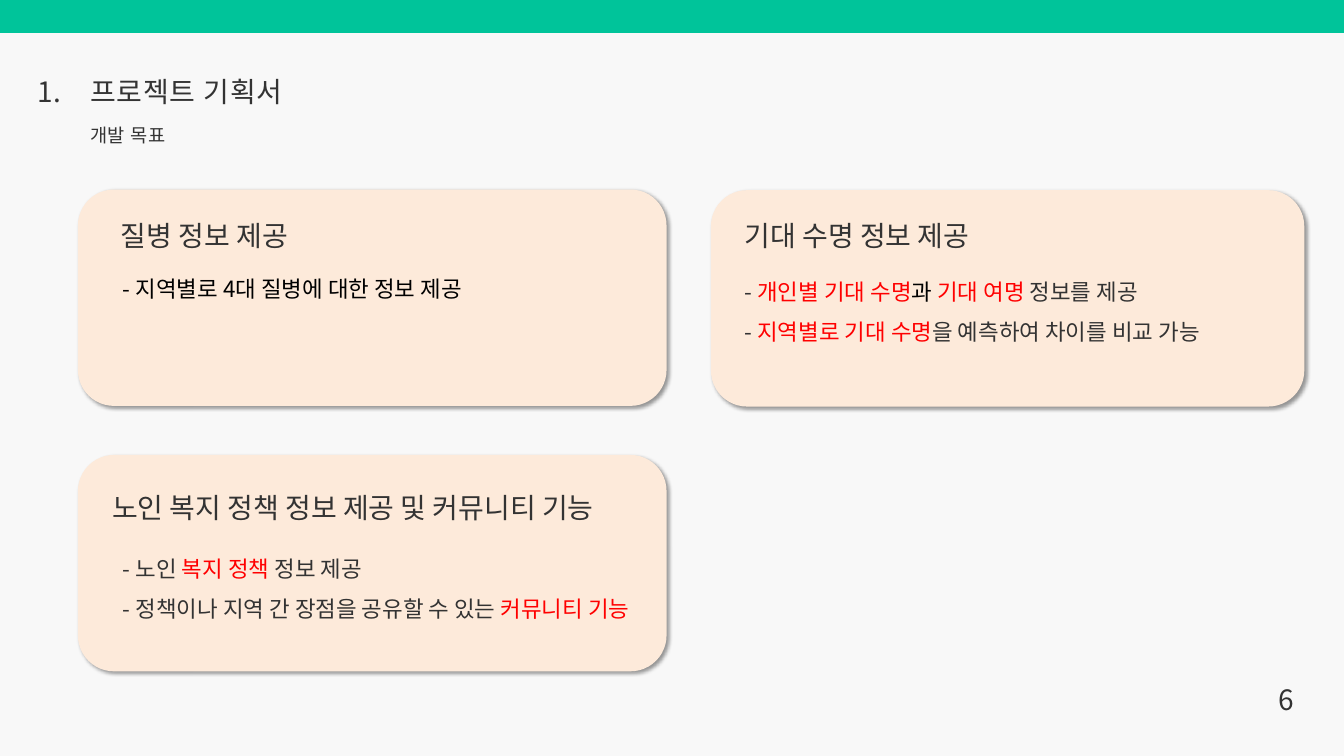
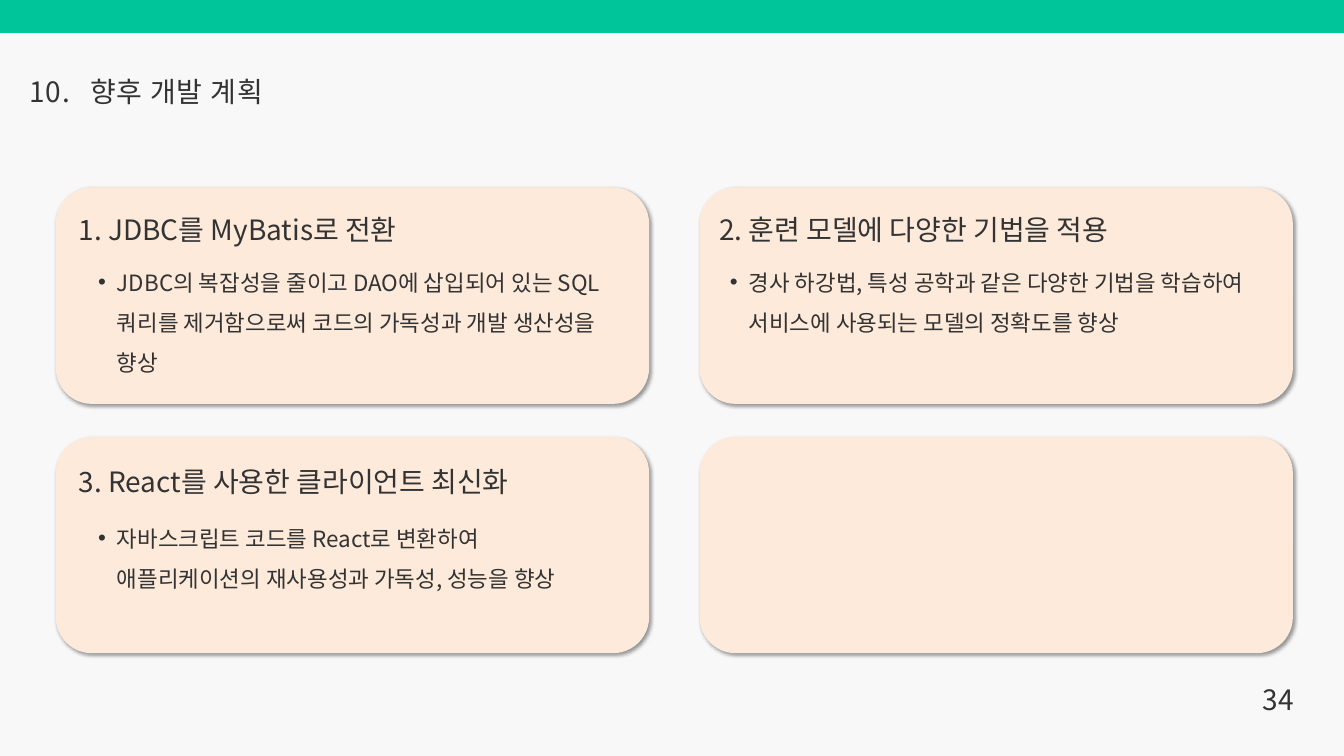
from dataclasses import dataclass
from typing import NamedTuple

from lxml import etree
from pptx import Presentation
from pptx import util as u
from pptx.dml.color import RGBColor
from pptx.enum import shapes, text
from pptx.oxml import ns

COLORS = {"page": "F8F8F8", "band": "00C49A", "card": "FDEADA",
          "ink": "333333", "black": "000000", "accent": "FF0000"}
FONT = "Noto Sans CJK KR"
WIDTH, HEIGHT = u.Inches(20), u.Inches(11.25)
COLUMN, ROW = WIDTH / 20, HEIGHT / 11.25
CARD_HEIGHT = 3.22


class Area(NamedTuple):
    left: float
    top: float
    width: float
    height: float

    def emu(self) -> tuple:
        return (u.Emu(round(self.left * COLUMN)), u.Emu(round(self.top * ROW)),
                u.Emu(round(self.width * COLUMN)), u.Emu(round(self.height * ROW)))


class Span(NamedTuple):
    words: str
    color: str = "ink"


@dataclass
class Card:
    left: float
    top: float
    width: float = 8.83
    heading: str = ""
    heading_area: Area | None = None
    lines: tuple = ()
    lines_area: Area | None = None
    bullet: bool = False


@dataclass
class Topic:
    number: str
    title: str
    page_number: str
    cards: list
    subtitle: str = ""


def rgb(name: str) -> RGBColor:
    return RGBColor.from_string(COLORS[name])


def add_bullet(para) -> None:
    properties = para._p.get_or_add_pPr()
    properties.set("lvl", "1")
    properties.set("marL", str(u.Inches(0.57)))
    properties.set("indent", str(-u.Inches(0.28)))
    etree.SubElement(properties, ns.qn("a:buFont")).set("typeface", "Arial")
    etree.SubElement(properties, ns.qn("a:buChar")).set("char", "•")


def add_text(page, area: Area, lines: tuple, *, size: float = 30, leading: float = 48,
             align=text.PP_ALIGN.LEFT, tracking: float = 0, bullet: bool = False) -> None:
    box = page.shapes.add_textbox(*area.emu())
    frame = box.text_frame
    frame.word_wrap = True
    frame.auto_size = text.MSO_AUTO_SIZE.SHAPE_TO_FIT_TEXT
    frame.margin_left = frame.margin_right = frame.margin_top = frame.margin_bottom = 0
    for index, spans in enumerate(lines):
        para = frame.add_paragraph() if index else frame.paragraphs[0]
        if bullet:
            add_bullet(para)
        para.alignment = align
        para.line_spacing = u.Pt(leading)
        for span in spans:
            run = para.add_run()
            run.text = span.words
            run.font.size = u.Pt(size)
            run.font.color.rgb = rgb(span.color)
            run.font.name = FONT
            properties = run._r.get_or_add_rPr()
            etree.SubElement(properties, ns.qn("a:ea")).set("typeface", FONT)
            if tracking:
                properties.set("spc", str(round(tracking * 100)))


def plain(words: str) -> tuple:
    return ((Span(words),),)


def add_block(page, kind, area: Area, color: str):
    block = page.shapes.add_shape(kind, *area.emu())
    block.shadow.inherit = False
    block.fill.solid()
    block.fill.fore_color.rgb = rgb(color)
    block.line.fill.background()
    return block


def add_shadow(block) -> None:
    effects = block._element.spPr.find(ns.qn("a:effectLst"))
    shadow = etree.SubElement(effects, ns.qn("a:outerShdw"), blurRad=str(u.Pt(4)),
                              dist=str(u.Pt(3)), dir=str(45 * 60000),
                              algn="tl", rotWithShape="0")
    color = etree.SubElement(shadow, ns.qn("a:srgbClr"), val=COLORS["black"])
    etree.SubElement(color, ns.qn("a:alpha"), val="40000")


def draw_card(page, card: Card) -> None:
    area = Area(card.left, card.top, card.width, CARD_HEIGHT)
    add_shadow(add_block(page, shapes.MSO_SHAPE.ROUNDED_RECTANGLE, area, "card"))
    if card.heading:
        add_text(page, card.heading_area, plain(card.heading))
    if card.lines:
        add_text(page, card.lines_area, card.lines, size=24, leading=43.2, bullet=card.bullet)


def draw_topic(deck, topic: Topic) -> None:
    page = deck.slides.add_slide(deck.slide_layouts[6])
    page.background.fill.solid()
    page.background.fill.fore_color.rgb = rgb("page")
    add_block(page, shapes.MSO_SHAPE.RECTANGLE, Area(0, 0, 20, 0.49), "band")
    add_text(page, Area(0.36, 1.11, 0.76, 0.51), plain(topic.number), leading=36,
             align=text.PP_ALIGN.CENTER, tracking=0.9)
    add_text(page, Area(1.34, 1.11, 11.58, 0.51), plain(topic.title), leading=36, tracking=0.9)
    if topic.subtitle:
        add_text(page, Area(1.34, 1.84, 4.26, 0.33), plain(topic.subtitle),
                 size=20, leading=24, tracking=0.6)
    for card in topic.cards:
        draw_card(page, card)
    add_text(page, Area(18.5, 9.99, 0.75, 0.61), plain(topic.page_number),
             align=text.PP_ALIGN.RIGHT)


def goal_cards() -> list:
    disease = ((Span("- 지역별로 4대 질병에 대한 정보 제공", "black"),),)
    lifespan = (
        (Span("- "), Span("개인별 기대 수명", "accent"), Span("과", "black"),
         Span(" 기대 여명 ", "accent"), Span("정보를 제공")),
        (Span("- "), Span("지역별로 기대 수명", "accent"),
         Span("을 예측하여 차이를 비교 가능")))
    welfare = (
        (Span("- 노인 "), Span("복지 정책", "accent"), Span(" 정보 제공")),
        (Span("- 정책이나 지역 간 장점을 공유할 수 있는 "), Span("커뮤니티 기능", "accent")))
    return [
        Card(1.16, 2.82, 8.76, "질병 정보 제공", Area(1.8, 3.08, 4.18, 0.67),
             disease, Area(1.83, 3.9, 7, 0.6)),
        Card(10.58, 2.83, 8.83, "기대 수명 정보 제공", Area(11.08, 3.08, 4.18, 0.61),
             lifespan, Area(11.08, 3.94, 7.67, 1.21)),
        Card(1.16, 6.77, 8.76, "노인 복지 정책 정보 제공 및 커뮤니티 기능",
             Area(1.67, 7.14, 7.66, 0.67), welfare, Area(1.83, 8.06, 7.6, 1.21))]


def plan_cards() -> list:
    lefts, tops = (0.83, 10.41), (2.79, 6.5)
    heading_tops, lines_tops = (2.99, 6.74), (3.8, 7.61)
    heading_lefts, lines_lefts = (1.17, 10.7), (1.17, 10.57)
    plans = (
        ("1. JDBC를 MyBatis로 전환",
         "JDBC의 복잡성을 줄이고 DAO에 삽입되어 있는 SQL 쿼리를 제거함으로써 "
         "코드의 가독성과 개발 생산성을 향상"),
        ("2. 훈련 모델에 다양한 기법을 적용",
         "경사 하강법, 특성 공학과 같은 다양한 기법을 학습하여 "
         "서비스에 사용되는 모델의 정확도를 향상"),
        ("3. React를 사용한 클라이언트 최신화",
         "자바스크립트 코드를 React로 변환하여 애플리케이션의 "
         "재사용성과 가독성, 성능을 향상"))
    cards = []
    for index, (heading, detail) in enumerate(plans):
        row, column = divmod(index, 2)
        cards.append(Card(
            lefts[column], tops[row], heading=heading,
            heading_area=Area(heading_lefts[column], heading_tops[row], 8.16, 0.61),
            lines=plain(detail),
            lines_area=Area(lines_lefts[column], lines_tops[row], 8.16, 1.14), bullet=True))
    return cards + [Card(lefts[1], tops[1])]


def main() -> None:
    deck = Presentation()
    deck.slide_width, deck.slide_height = WIDTH, HEIGHT
    draw_topic(deck, Topic("1.", "프로젝트 기획서", "6", goal_cards(), "개발 목표"))
    draw_topic(deck, Topic("10.", "향후 개발 계획", "34", plan_cards()))
    deck.save("out.pptx")


if __name__ == "__main__":
    main()
